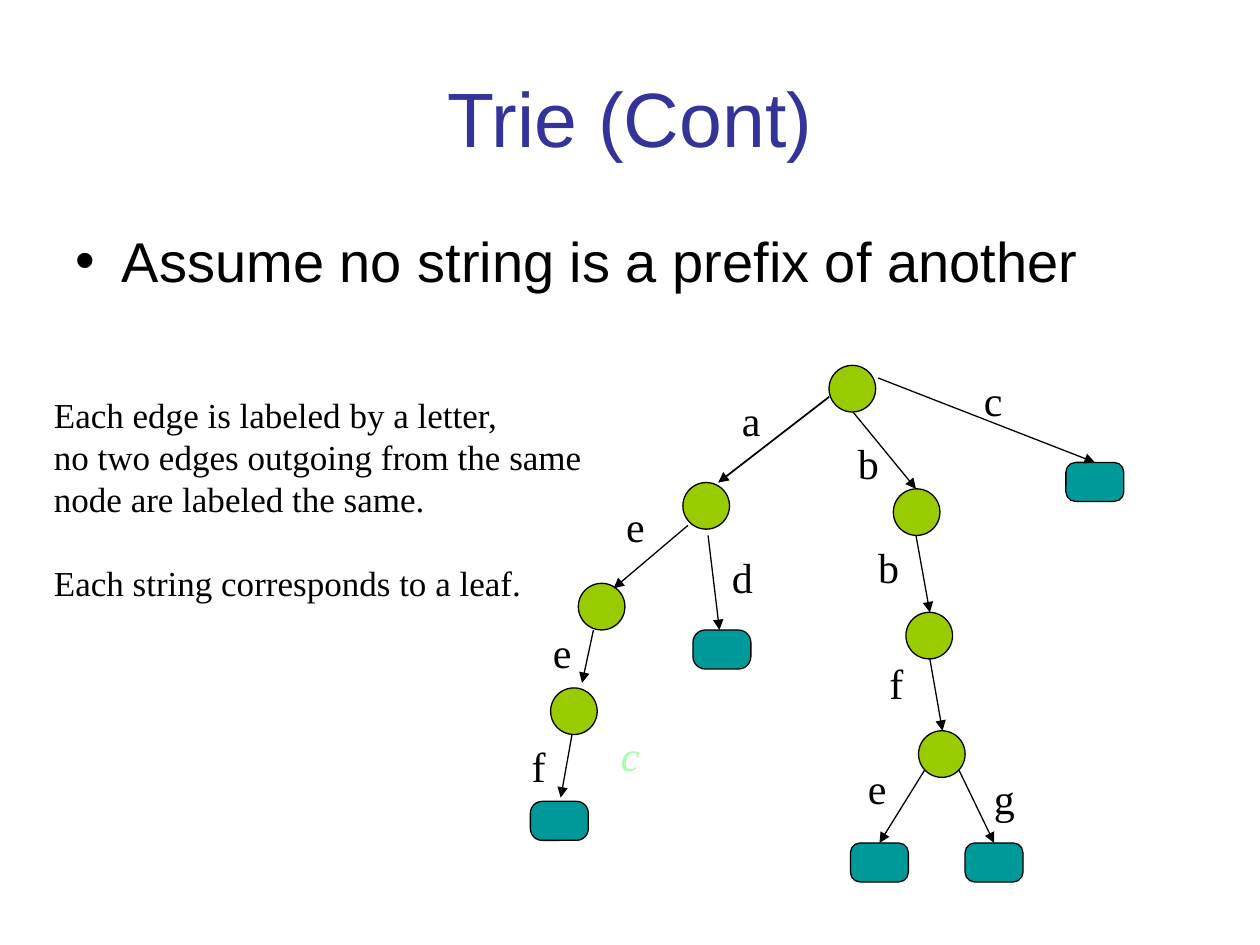
from lxml import etree
from pptx import Presentation
from pptx.dml.color import RGBColor
from pptx.enum.shapes import MSO_CONNECTOR, MSO_SHAPE
from pptx.enum.text import MSO_ANCHOR, MSO_AUTO_SIZE, PP_ALIGN
from pptx.oxml.ns import qn
from pptx.util import Inches, Pt

STRAIGHT = MSO_CONNECTOR.STRAIGHT
CIRCLE, ROUNDED = MSO_SHAPE.OVAL, MSO_SHAPE.ROUNDED_RECTANGLE
MIDDLE, TOP = MSO_ANCHOR.MIDDLE, MSO_ANCHOR.TOP
CENTER, LEFT = PP_ALIGN.CENTER, PP_ALIGN.LEFT
GROW = MSO_AUTO_SIZE.SHAPE_TO_FIT_TEXT
NO_FIT = MSO_AUTO_SIZE.NONE
TITLE_ONLY = 5
TOP_SIDE = 0

COLORS = {"title": "333399", "ink": "000000", "node": "99CC00",
          "leaf": "009999", "faint": "A3FFA7"}
SANS, SERIF = "Arial", "Times New Roman"
NODE_SIZE = 0.37
LEAF_WIDTH, LEAF_HEIGHT = 0.46, 0.31


class TrieSlide:
    """Holds the style and the current slide."""

    def __init__(self, deck):
        self.slide = deck.slides.add_slide(deck.slide_layouts[TITLE_ONLY])
        self.shapes = self.slide.shapes

    def color(self, name):
        return RGBColor.from_string(COLORS[name])

    def add_lines(self, frame, lines, color="ink", align=LEFT, gap=0, **font):
        """Set the lines as paragraphs, with a gap before the last one."""
        for index, line in enumerate(lines):
            para = frame.paragraphs[0] if index == 0 else frame.add_paragraph()
            para.alignment = align
            last = index == len(lines) - 1
            para.space_before = Pt(gap if index and last else 0)
            span = para.add_run()
            span.text = line
            span.font.color.rgb = self.color(color)
            for name, value in font.items():
                setattr(span.font, name, value)

    def title(self, text, left, top, width, height):
        box = self.shapes.title
        place = {"left": left, "top": top, "width": width, "height": height}
        for name, value in place.items():
            setattr(box, name, Inches(value))
        box.text_frame.vertical_anchor = MIDDLE
        box.text_frame.auto_size = NO_FIT
        self.add_lines(box.text_frame, [text], "title", CENTER,
                       size=Pt(44), name=SANS)

    def text(self, lines, left, top, width, height, fit=GROW, **style):
        box = self.shapes.add_textbox(Inches(left), Inches(top),
                                      Inches(width), Inches(height))
        frame = box.text_frame
        settings = {"word_wrap": True, "auto_size": fit, "vertical_anchor": TOP}
        for name, value in settings.items():
            setattr(frame, name, value)
        self.add_lines(frame, lines, **style)
        return box

    def bullet(self, text, left, top, width, height):
        box = self.text([text], left, top, width, height, fit=NO_FIT,
                        size=Pt(32), name=SANS)
        props = box.text_frame.paragraphs[0]._p.get_or_add_pPr()
        props.set("marL", str(Inches(0.37)))
        props.set("indent", str(Inches(-0.37)))
        etree.SubElement(props, qn("a:buFont")).set("typeface", SANS)
        etree.SubElement(props, qn("a:buChar")).set("char", "•")

    def label(self, letter, left, top, width=0.42, **style):
        self.text([letter], left, top, width, 0.5,
                  size=Pt(24), name=SERIF, **style)

    def vertex(self, kind, fill, left, top, width, height):
        shape = self.shapes.add_shape(kind, Inches(left), Inches(top),
                                      Inches(width), Inches(height))
        shape.shadow.inherit = False
        shape.fill.solid()
        shape.fill.fore_color.rgb = self.color(fill)
        shape.line.color.rgb = self.color("ink")
        shape.line.width = Pt(0.75)
        return shape

    def node(self, left, top):
        return self.vertex(CIRCLE, "node", left, top, NODE_SIZE, NODE_SIZE)

    def leaf(self, left, top, rounding):
        shape = self.vertex(ROUNDED, "leaf", left, top, LEAF_WIDTH, LEAF_HEIGHT)
        shape.adjustments[0] = rounding
        return shape

    def edge(self, start, end, leaf=None, weight=0.75):
        """Draw an arrow; a given leaf is joined at the middle of its top."""
        points = [Inches(value) for value in (*start, *end)]
        arrow = self.shapes.add_connector(STRAIGHT, *points)
        if leaf is not None:
            arrow.end_connect(leaf, TOP_SIDE)
        arrow.line.color.rgb = self.color("ink")
        arrow.line.width = Pt(weight)
        props = arrow._element.spPr
        line = props.find(qn("a:ln"))
        etree.SubElement(line, qn("a:tailEnd")).set("type", "triangle")
        etree.SubElement(props, qn("a:effectLst"))


def main():
    deck = Presentation()
    deck.slide_width, deck.slide_height = Inches(10), Inches(7.5)
    page = TrieSlide(deck)

    # Title and statement
    page.title("Trie (Cont)", 0.5, 0.3, 9, 1.25)
    page.bullet("Assume no string is a prefix of another", 0.5, 1.75, 9, 0.75)

    # Inner nodes, root first, then the left and right branches
    for left, top in [(6.58, 2.9), (5.42, 3.83), (4.59, 4.63), (4.37, 5.46),
                      (7.09, 3.88), (7.19, 4.86), (7.29, 5.8)]:
        page.node(left, top)

    # Leaves
    page.leaf(4.21, 6.36, 0.3)
    page.leaf(5.5, 5, 0.32)
    leaf_c = page.leaf(8.46, 3.67, 0.25)
    leaf_e = page.leaf(6.75, 6.69, 0.25)
    leaf_g = page.leaf(7.66, 6.69, 0.25)

    # Edges of the left branch
    page.edge((6.58, 3.15), (5.7, 3.83), weight=1)
    for start, end in [((5.46, 4.17), (4.87, 4.67)),
                       ((5.62, 4.25), (5.71, 5)),
                       ((4.71, 5), (4.62, 5.42)),
                       ((4.54, 5.83), (4.45, 6.33))]:
        page.edge(start, end)

    # Edges of the right branches
    for start, end, leaf in [((6.97, 3), (8.69, 3.67), leaf_c),
                             ((6.77, 3.27), (7.27, 3.88), None),
                             ((7.27, 4.25), (7.38, 4.86), None),
                             ((7.38, 5.23), (7.48, 5.8), None),
                             ((7.34, 6.11), (6.98, 6.69), leaf_e),
                             ((7.61, 6.11), (7.89, 6.69), leaf_g)]:
        page.edge(start, end, leaf)

    # Edge letters
    for letter, left, top in [("a", 5.79, 3.08), ("e", 4.87, 3.92),
                              ("d", 5.71, 4.33), ("e", 4.29, 4.92),
                              ("f", 4.12, 5.83)]:
        page.label(letter, left, top, width=0.75)
    for letter, left, top in [("c", 7.71, 2.92), ("b", 6.71, 3.42),
                              ("b", 6.87, 4.25), ("f", 6.96, 5.17),
                              ("e", 6.79, 6), ("g", 7.79, 6.08)]:
        page.label(letter, left, top)
    page.label("c", 4.83, 5.74, width=0.58, color="faint", italic=True)

    # Explanation
    page.text(["Each edge is labeled by a letter,",
               "no two edges outgoing from the same node are labeled the same.",
               "Each string corresponds to a leaf."],
              0.33, 3.07, 4.5, 1.77, gap=24, size=Pt(20), name=SERIF)

    deck.save("out.pptx")


if __name__ == "__main__":
    main()
